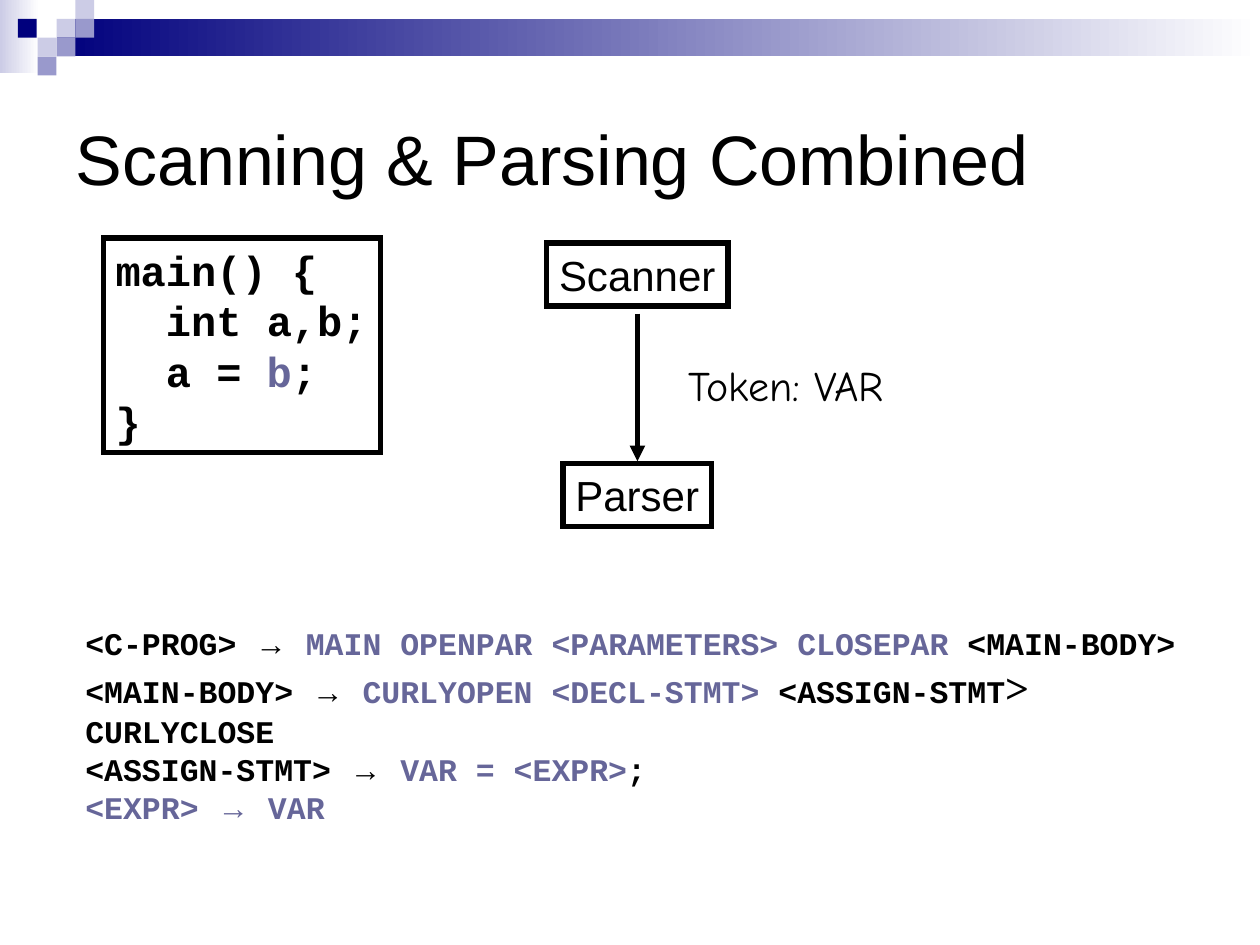
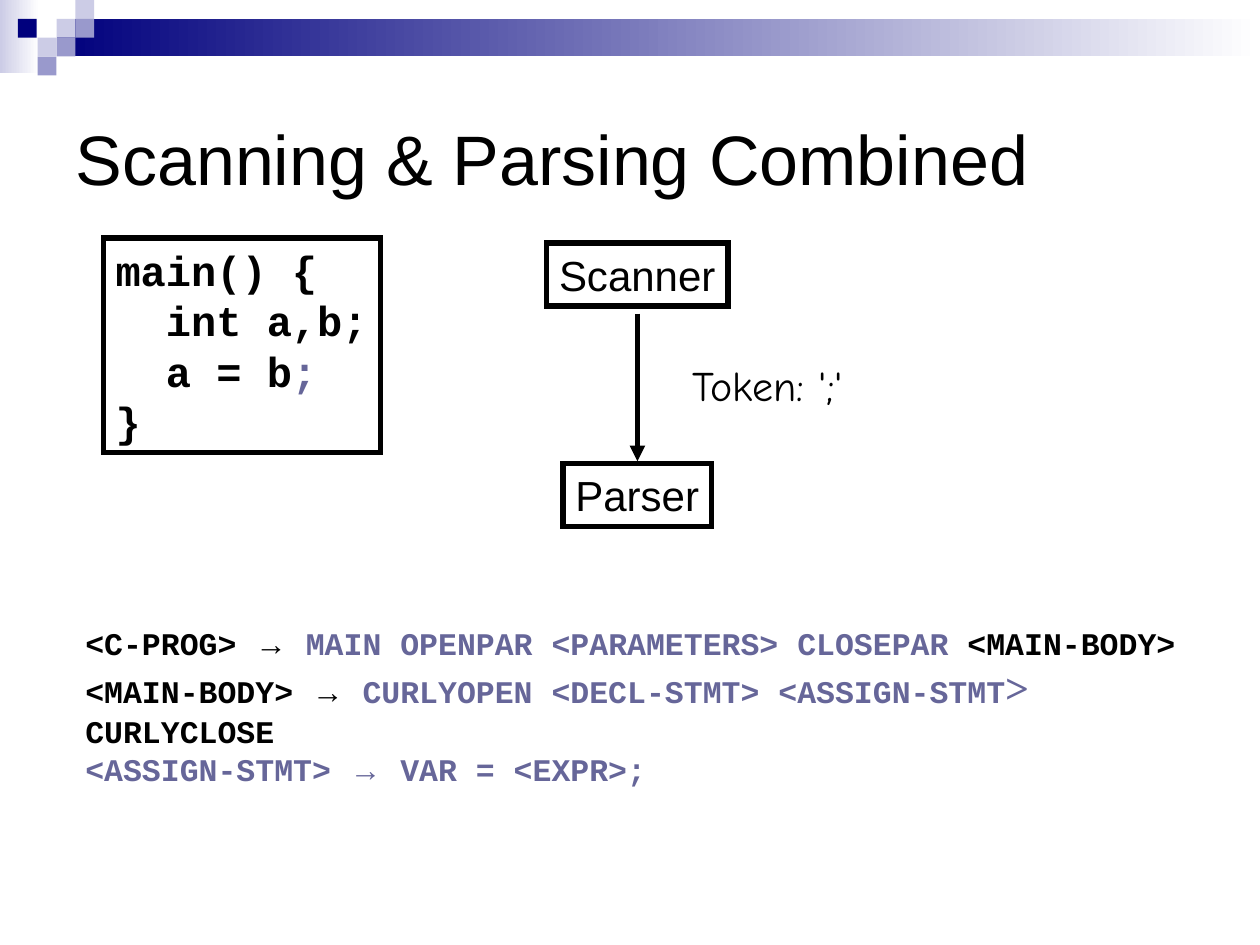
import pptx
import pptx.dml.color
import pptx.enum.shapes
import pptx.enum.text
import pptx.oxml
import pptx.oxml.ns
import pptx.util
from dataclasses import dataclass

Cm, Pt = pptx.util.Cm, pptx.util.Pt
RECTANGLE = pptx.enum.shapes.MSO_SHAPE.RECTANGLE
ANCHOR = pptx.enum.text.MSO_ANCHOR

# Content: a span is (kind, text); a kind ending in "+" marks recognised input
TITLE = "Scanning & Parsing Combined"
MAIN_RULE = [("code", "<C-PROG> "), ("arrow", "→"),
             ("code+", " MAIN OPENPAR <PARAMETERS> CLOSEPAR"),
             ("code", " <MAIN-BODY>")]
BODY_START = [("code", "<MAIN-BODY> "), ("arrow", "→")]
BODY_END = ("code", "CURLYCLOSE")

STEPS = [
    {
        "statement": [("source", "  a = "), ("source+", "b"), ("source", ";")],
        "token": "Token: VAR",
        "token_at": (13.63, 7.12, 4.57, 1.27),
        "grammar_height": 5.08,
        "grammar": [
            MAIN_RULE,
            BODY_START + [("code+", " CURLYOPEN <DECL-STMT>"),
                          ("code", " <ASSIGN-STMT"), ("serif", "> "), BODY_END],
            [("code", "<ASSIGN-STMT> "), ("arrow", "→"),
             ("code+", " VAR = <EXPR>"), ("code", ";")],
            [("code+", "<EXPR> "), ("arrow+", "→"), ("code+", " VAR")],
        ],
    },
    {
        "statement": [("source", "  a = b"), ("source+", ";")],
        "token": "Token: ';'",
        "token_at": (13.71, 7.12, 3.63, 1.27),
        "grammar_height": 3.56,
        "grammar": [
            MAIN_RULE,
            BODY_START + [("code+", " CURLYOPEN <DECL-STMT> <ASSIGN-STMT"),
                          ("serif+", "> "), BODY_END],
            [("code+", "<ASSIGN-STMT> "), ("arrow+", "→"),
             ("code+", " VAR = <EXPR>;")],
        ],
    },
]

# Places in centimetres: left, top, width, height
TITLE_AT = (1.27, 1.27, 22.86, 3.81)
SOURCE_AT = (2.08, 4.8, 5.59, 4.32)
STAGES = [("Scanner", (11.02, 4.9, 3.66, 1.27)),
          ("Parser", (11.35, 9.35, 3, 1.27))]
ARROW_X, ARROW_TOP, ARROW_BOTTOM = 12.85, 6.32, 9.3
GRAMMAR_LEFT, GRAMMAR_TOP, GRAMMAR_WIDTH = 1.47, 12.45, 23.42

# Header mosaic: column, row and colour of each tile
TILE = 0.38
TILES = [(3, 1, "pale"), (4, 0, "pale"), (4, 1, "mid"), (2, 2, "pale"),
         (0.95, 1, "navy"), (3, 2, "mid"), (2, 3, "mid")]


@dataclass(frozen=True)
class Theme:
    colours = {"text": "000000", "recognised": "666699", "navy": "00007D",
               "mid": "9999CC", "pale": "CCCCE6", "white": "FFFFFF"}
    # Kind of text: font, size, bold
    styles = {"title": ("Arial", 40, False), "stage": ("Arial", 24, False),
              "token": ("Comic Neue", 24, False),
              "source": ("Courier New", 24, True),
              "code": ("Courier New", 18, True),
              "arrow": ("Arial", 18, True),
              "serif": ("Times New Roman", 24, True)}
    outline = 3

    def colour(self, name):
        return pptx.dml.color.RGBColor.from_string(self.colours[name])


THEME = Theme()


def lengths(place):
    return [Cm(value) for value in place]


def drawing_element(markup):
    namespace = pptx.oxml.ns.nsdecls("a")
    return pptx.oxml.parse_xml(f"<a:{markup} {namespace}/>")


# Text and shapes
def write(frame, lines, wrap=False, anchor=ANCHOR.TOP):
    frame.word_wrap = wrap
    frame.vertical_anchor = anchor
    for index, spans in enumerate(lines):
        para = frame.add_paragraph() if index else frame.paragraphs[0]
        para.alignment = pptx.enum.text.PP_ALIGN.LEFT
        for kind, text in spans:
            span = para.add_run()
            span.text = text
            font = span.font
            font.name, size, font.bold = THEME.styles[kind.rstrip("+")]
            font.size = Pt(size)
            font.color.rgb = THEME.colour(
                "recognised" if kind.endswith("+") else "text")


def add_text(page, place, lines, wrap=False):
    box = page.shapes.add_textbox(*lengths(place))
    write(box.text_frame, lines, wrap)


def style_line(line):
    line.color.rgb = THEME.colour("text")
    line.width = Pt(THEME.outline)
    element = line._get_or_add_ln()
    miter = drawing_element("miter")
    miter.set("lim", "800000")
    element.append(miter)
    return element


def add_outlined(page, place, lines):
    box = page.shapes.add_shape(RECTANGLE, *lengths(place))
    box.shadow.inherit = False
    box.fill.background()
    style_line(box.line)
    write(box.text_frame, lines)


def add_arrow(page):
    arrow = page.shapes.add_connector(
        pptx.enum.shapes.MSO_CONNECTOR.STRAIGHT,
        *lengths((ARROW_X, ARROW_TOP, ARROW_X, ARROW_BOTTOM)))
    head = drawing_element("tailEnd")
    head.set("type", "triangle")
    style_line(arrow.line).append(head)
    arrow.element.spPr.append(drawing_element("effectLst"))


# Header band, shared by all slides through the master
def add_block(group, place, colour, fade=False):
    block = group.shapes.add_shape(RECTANGLE, *lengths(place))
    block.shadow.inherit = False
    block.line.fill.background()
    if fade:
        block.fill.gradient()
        block.fill.gradient_angle = 0
        for stop, position, name in zip(block.fill.gradient_stops, (0, 1),
                                        (colour, "white")):
            stop.position = position
            stop.color.rgb = THEME.colour(name)
    else:
        block.fill.solid()
        block.fill.fore_color.rgb = THEME.colour(colour)


def add_header(deck, page):
    group = page.shapes.add_group_shape()
    add_block(group, (0, 0, 0.79, 1.47), "pale", fade=True)
    add_block(group, (3 * TILE, TILE, 25.4 - 3 * TILE, 2 * TILE), "navy", fade=True)
    for column, row, colour in TILES:
        add_block(group, (column * TILE, row * TILE, TILE, TILE), colour)
    names = group.element.iter(pptx.oxml.ns.qn("p:cNvPr"))
    for number, node in enumerate(names, 100):
        node.set("id", str(number))
    deck.slide_master.shapes.element.insert(2, group.element)


def add_step(page, step):
    title = page.shapes.title
    title.left, title.top, title.width, title.height = lengths(TITLE_AT)
    write(title.text_frame, [[("title", TITLE)]], wrap=True, anchor=ANCHOR.MIDDLE)

    source = [[("source", "main() {")], [("source", "  int a,b;")],
              step["statement"], [("source", "}")]]
    add_outlined(page, SOURCE_AT, source)

    for name, place in STAGES:
        add_outlined(page, place, [[("stage", name)]])
    add_arrow(page)
    add_text(page, step["token_at"], [[("token", step["token"])]])

    grammar_at = (GRAMMAR_LEFT, GRAMMAR_TOP, GRAMMAR_WIDTH, step["grammar_height"])
    add_text(page, grammar_at, step["grammar"], wrap=True)


def main():
    deck = pptx.Presentation()
    deck.slide_width, deck.slide_height = Cm(25.4), Cm(19.05)
    pages = [deck.slides.add_slide(deck.slide_layouts[5]) for _ in STEPS]
    add_header(deck, pages[0])
    for page, step in zip(pages, STEPS):
        add_step(page, step)
    deck.save("out.pptx")


if __name__ == "__main__":
    main()
